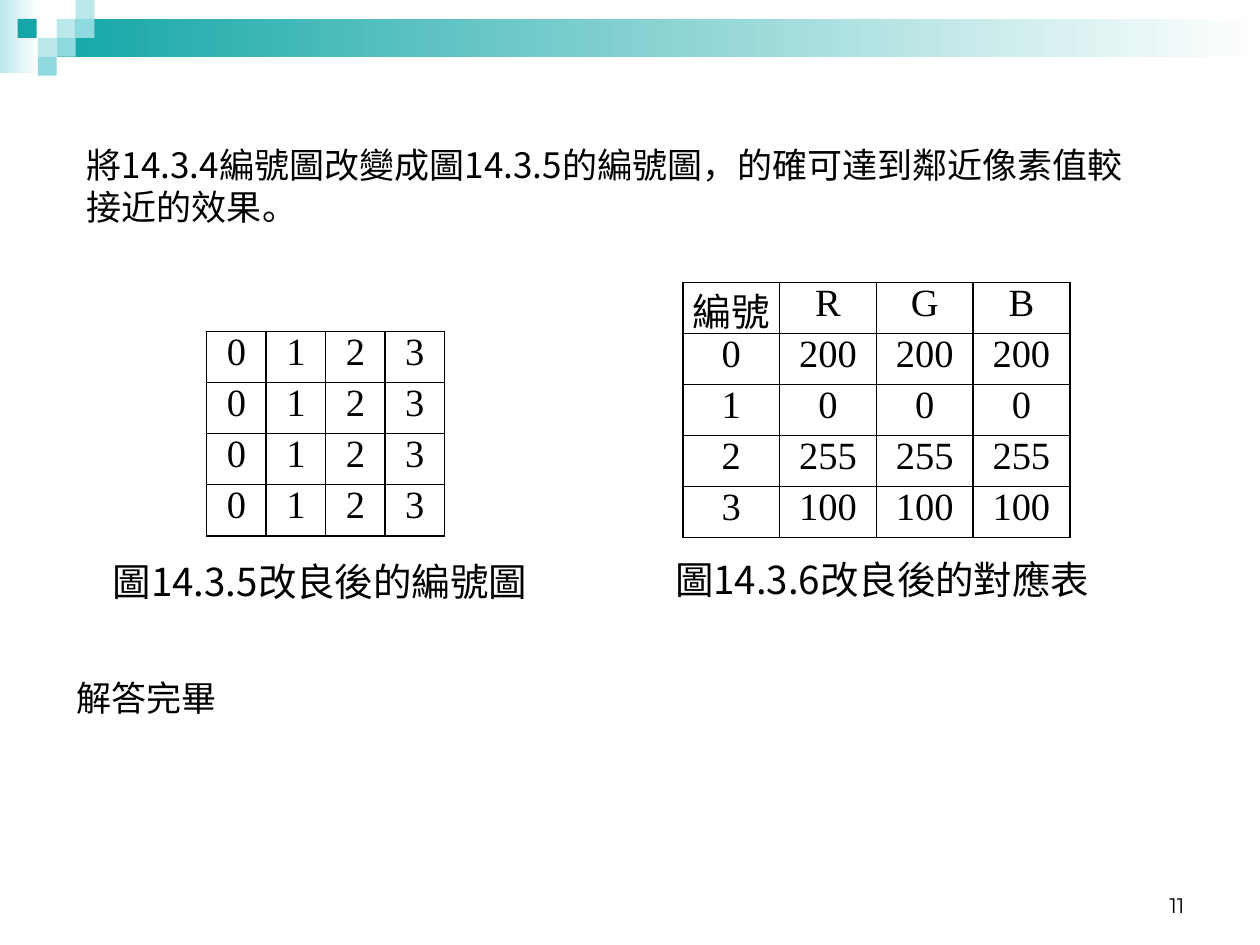
from dataclasses import dataclass
from typing import Optional

from lxml.etree import SubElement
from pptx import Presentation
from pptx.dml.color import RGBColor
from pptx.enum.shapes import MSO_SHAPE
from pptx.enum.text import MSO_ANCHOR, PP_ALIGN
from pptx.oxml.ns import qn
from pptx.util import Pt

BLACK = RGBColor(0x00, 0x00, 0x00)
WHITE = RGBColor(0xFF, 0xFF, 0xFF)
TEAL = RGBColor(0x15, 0xA7, 0xA7)
AQUA = RGBColor(0x8E, 0xDA, 0xDE)
PALE = RGBColor(0xBB, 0xE8, 0xEB)
SANS = "Noto Sans CJK SC"
SERIF = "Times New Roman"
NUMERAL = "Montserrat"
TILE = 10.8


@dataclass(frozen=True)
class Block:
    left: float
    top: float
    width: float
    height: float
    color: RGBColor
    fade: Optional[RGBColor] = None


@dataclass(frozen=True)
class Passage:
    words: str
    left: float
    top: float
    width: float
    height: float
    size: float = 20
    font: str = SANS
    align: PP_ALIGN = PP_ALIGN.LEFT
    anchor: MSO_ANCHOR = MSO_ANCHOR.TOP


@dataclass(frozen=True)
class Grid:
    rows: list[list[str]]
    left: float
    top: float
    column_width: float
    side_margin: float
    row_height: float = 29.2


BLOCKS = [
    Block(0, 0, 22.3, 41.8, PALE, WHITE),
    Block(32.4, TILE, 687.6, 2 * TILE, TEAL, WHITE),
    Block(10.1, TILE, TILE, TILE, TEAL),
] + [
    Block(column * TILE, row * TILE, TILE, TILE, color)
    for column, row, color in [
        (3, 1, PALE), (4, 0, PALE), (4, 1, AQUA),
        (2, 2, PALE), (3, 2, AQUA), (2, 3, AQUA),
    ]
]

PASSAGES = [
    Passage("11", 516.2, 491.8, 167.8, 36, 12, NUMERAL, PP_ALIGN.RIGHT, MSO_ANCHOR.BOTTOM),
    Passage("將14.3.4編號圖改變成圖14.3.5的編號圖，的確可達到鄰近像素值較接近的效果。",
            42.5, 78.5, 617.8, 55.4),
    Passage("圖14.3.5改良後的編號圖", 55.4, 315.4, 254.9, 33.8, 22,
            align=PP_ALIGN.CENTER, anchor=MSO_ANCHOR.MIDDLE),
    Passage("圖14.3.6改良後的對應表", 378.7, 313.9, 254.2, 33.8, 22,
            anchor=MSO_ANCHOR.MIDDLE),
    Passage("解答完畢", 36.7, 383, 118.8, 31.7),
]

GRIDS = [
    Grid([list("0123")] * 4, 118.1, 189.4, 34, 5.8),
    Grid([["編號", "R", "G", "B"]]
         + [[str(number)] + [level] * 3
            for number, level in enumerate(["200", "0", "255", "100"])],
         390.2, 161.3, 55.3, 5),
]


def format_paragraph(paragraph, size: float, font: str, align: PP_ALIGN) -> None:
    paragraph.alignment = align
    for run in paragraph.runs:
        run.font.size = Pt(size)
        run.font.name = font
        run.font.color.rgb = BLACK
        if font == SANS:
            SubElement(run.font._element, qn("a:ea"), typeface=SANS)


def draw_block(slide, block: Block) -> None:
    shape = slide.shapes.add_shape(MSO_SHAPE.RECTANGLE, Pt(block.left), Pt(block.top),
                                   Pt(block.width), Pt(block.height))
    shape.shadow.inherit = False
    shape.line.fill.background()
    if block.fade is None:
        shape.fill.solid()
        shape.fill.fore_color.rgb = block.color
        return
    shape.fill.gradient()
    shape.fill.gradient_angle = 0
    for stop, color, position in zip(shape.fill.gradient_stops,
                                     (block.color, block.fade), (0, 1)):
        stop.color.rgb = color
        stop.position = position


def draw_passage(slide, passage: Passage) -> None:
    box = slide.shapes.add_textbox(Pt(passage.left), Pt(passage.top),
                                   Pt(passage.width), Pt(passage.height))
    frame = box.text_frame
    frame.word_wrap = True
    frame.vertical_anchor = passage.anchor
    frame.text = passage.words
    format_paragraph(frame.paragraphs[0], passage.size, passage.font, passage.align)


def add_borders(cell) -> None:
    properties = cell._tc.get_or_add_tcPr()
    for position, side in enumerate(("a:lnL", "a:lnR", "a:lnT", "a:lnB")):
        line = properties.makeelement(qn(side), {"w": str(Pt(1))})
        fill = SubElement(line, qn("a:solidFill"))
        SubElement(fill, qn("a:srgbClr"), val=str(BLACK))
        properties.insert(position, line)


def draw_grid(slide, grid: Grid) -> None:
    row_count, column_count = len(grid.rows), len(grid.rows[0])
    table = slide.shapes.add_table(
        row_count, column_count, Pt(grid.left), Pt(grid.top),
        Pt(column_count * grid.column_width), Pt(row_count * grid.row_height)).table
    table.first_row = False
    table.horz_banding = False
    for column in table.columns:
        column.width = Pt(grid.column_width)
    for row, entries in zip(table.rows, grid.rows):
        row.height = Pt(grid.row_height)
        for cell, entry in zip(row.cells, entries):
            cell.fill.background()
            cell.margin_left = cell.margin_right = Pt(grid.side_margin)
            cell.margin_top = cell.margin_bottom = 0
            cell.text_frame.text = entry
            format_paragraph(cell.text_frame.paragraphs[0], 22, SERIF, PP_ALIGN.CENTER)
            add_borders(cell)


def main() -> None:
    presentation = Presentation()
    presentation.slide_width, presentation.slide_height = Pt(720), Pt(540)
    slide = presentation.slides.add_slide(presentation.slide_layouts[6])
    for block in BLOCKS:
        draw_block(slide, block)
    for passage in PASSAGES:
        draw_passage(slide, passage)
    for grid in GRIDS:
        draw_grid(slide, grid)
    presentation.save("out.pptx")


if __name__ == "__main__":
    main()
